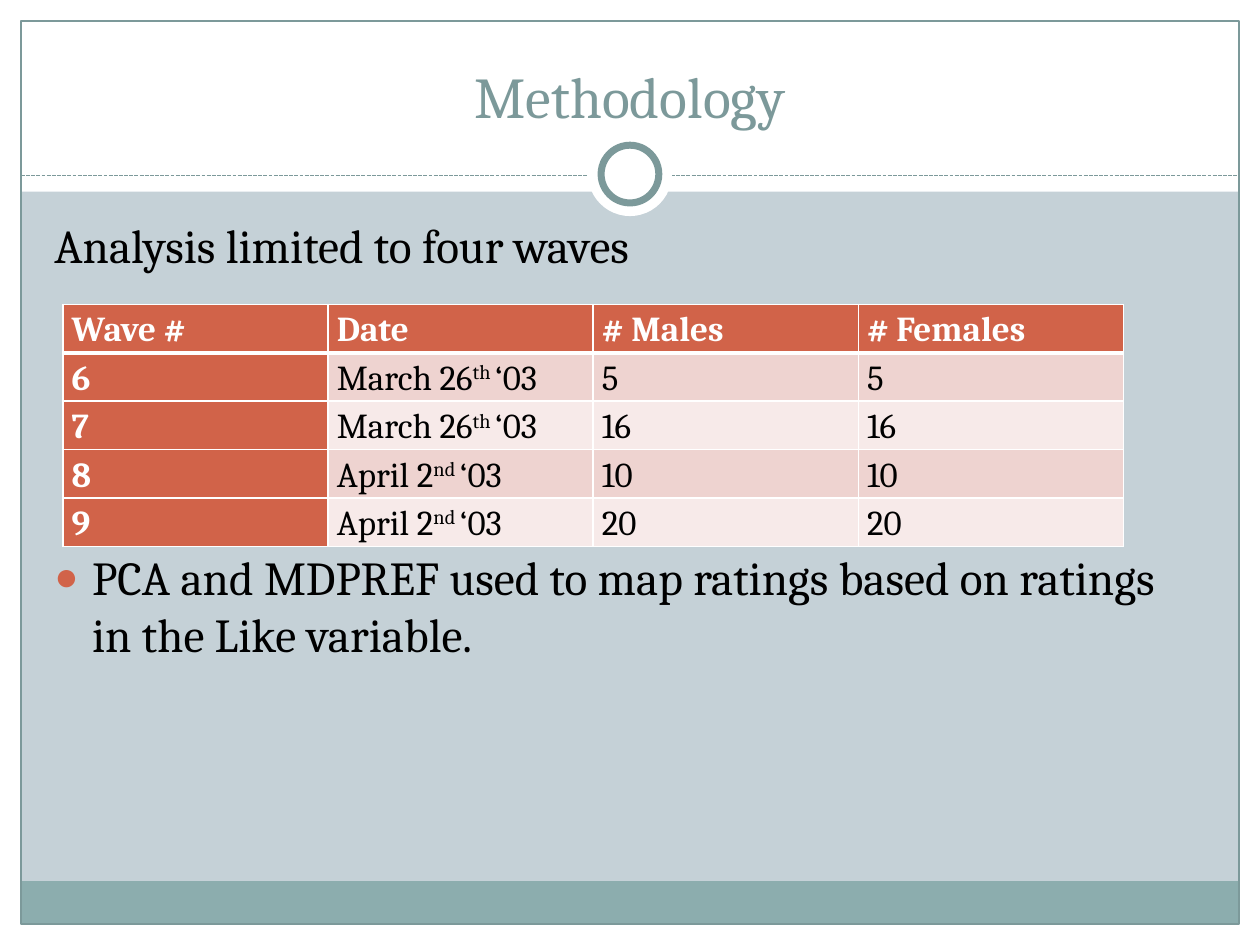
from dataclasses import dataclass
from lxml.etree import SubElement as Sub
from pptx import Presentation as Deck
from pptx.dml.color import RGBColor as Color
from pptx.enum.dml import MSO_LINE as Dash
from pptx.enum.shapes import MSO_CONNECTOR as Link, MSO_SHAPE as Kind
from pptx.enum.text import MSO_ANCHOR as Anchor, PP_ALIGN as Align
from pptx.oxml.ns import qn
from pptx.util import Pt


@dataclass(frozen=True)
class Theme:
    font: str = "Cambria"
    back: str = "C5D1D7"
    white: str = "FFFFFF"
    black: str = "000000"
    slate: str = "7C999A"
    teal: str = "8CADAE"
    rust: str = "D16349"
    bands: tuple = ("EED3D0", "F7EAE9")
    head: int = 33
    body: int = 27
    cell: int = 20


LOOK = Theme()
WIDE, HIGH, EDGE = 720, 540, 12

# A bar marks the start and end of raised text
ROWS = [
    ["Wave #", "Date", "# Males", "# Females"],
    ["6", "March 26|th |‘03", "5", "5"],
    ["7", "March 26|th |‘03", "16", "16"],
    ["8", "April 2|nd |‘03", "10", "10"],
    ["9", "April 2|nd |‘03", "20", "20"],
]


def paint(fill, tone):
    fill.solid()
    fill.fore_color.rgb = Color.from_string(tone)


def add_form(slide, kind, box, fill=None, line=None, width=0.75):
    form = slide.shapes.add_shape(kind, *map(Pt, box))
    form.shadow.inherit = False
    if fill:
        paint(form.fill, fill)
    else:
        form.fill.background()
    if line:
        paint(form.line.fill, line)
        form.line.width = Pt(width)
    else:
        form.line.fill.background()


def add_rule(slide, left, right, y):
    rule = slide.shapes.add_connector(Link.STRAIGHT, Pt(left), Pt(y), Pt(right), Pt(y))
    paint(rule.line.fill, LOOK.slate)
    rule.line.width = Pt(0.75)
    rule.line.dash_style = Dash.SQUARE_DOT
    Sub(rule._element.spPr, qn("a:effectLst"))


def style(para, size, tone, bold=False):
    for run in para.runs:
        font = run.font
        font.name, font.size, font.bold = LOOK.font, Pt(size), bold
        font.color.rgb = Color.from_string(tone)


def add_text(slide, box, text, size, tone, anchor=Anchor.TOP):
    frame = slide.shapes.add_textbox(*map(Pt, box)).text_frame
    frame.word_wrap = True
    frame.vertical_anchor = anchor
    frame.text = text
    para = frame.paragraphs[0]
    style(para, size, tone)
    return para


def add_dot(para, indent):
    props = para._p.get_or_add_pPr()
    props.set("marL", str(Pt(indent)))
    props.set("indent", str(-Pt(indent)))
    Sub(Sub(props, qn("a:buClr")), qn("a:srgbClr"), val=LOOK.rust)
    Sub(props, qn("a:buSzPct"), val="85000")
    Sub(props, qn("a:buFont"), typeface="Arial")
    Sub(props, qn("a:buChar"), char="●")


def add_edge(cell, side, width):
    line = Sub(cell._tc.get_or_add_tcPr(), qn("a:" + side), w=str(Pt(width)))
    Sub(Sub(line, qn("a:solidFill")), qn("a:srgbClr"), val=LOOK.white)


def fill_cell(cell, text, row, col):
    key = row == 0 or col == 0
    cell.margin_left = cell.margin_right = Pt(5)
    cell.margin_top = cell.margin_bottom = 0
    para = cell.text_frame.paragraphs[0]
    para.line_spacing = 1.15
    for spot, part in enumerate(text.split("|")):
        run = para.add_run()
        run.text = part
        if spot == 1:
            run.font._element.set("baseline", "30000")
    style(para, LOOK.cell, LOOK.white if key else LOOK.black, key)
    # White grid, heavy under the header; edges come before the fill
    for side in ("lnL", "lnR", "lnT", "lnB"):
        heavy = (row, side) in ((0, "lnB"), (1, "lnT"))
        add_edge(cell, side, 3 if heavy else 1)
    paint(cell.fill, LOOK.rust if key else LOOK.bands[(row - 1) % 2])


def add_grid(slide, left, top, width, step):
    size = len(ROWS), len(ROWS[0])
    box = left, top, width, step * size[0]
    grid = slide.shapes.add_table(*size, *map(Pt, box)).table
    for r, row in enumerate(ROWS):
        grid.rows[r].height = Pt(step)
        for c, text in enumerate(row):
            fill_cell(grid.cell(r, c), text, r, c)


def add_frame(slide):
    # White margins and header band
    for box in (
        (0, HIGH - EDGE, WIDE, EDGE),
        (0, 0, WIDE, 109.5),
        (0, 0, EDGE, HIGH),
        (WIDE - EDGE, 0, EDGE, HIGH),
    ):
        add_form(slide, Kind.RECTANGLE, box, LOOK.white)
    # Footer band, outline and dashed rule
    inner = WIDE - 2 * EDGE
    add_form(slide, Kind.RECTANGLE, (EDGE, 503.5, inner, 24.5), LOOK.teal)
    add_form(slide, Kind.RECTANGLE, (EDGE, EDGE, inner, HIGH - 2 * EDGE), line=LOOK.slate)
    add_rule(slide, EDGE, WIDE - EDGE, 100.5)
    # Ring on a white disc
    for size, line in ((48, None), (33, LOOK.slate)):
        box = (WIDE - size) / 2, 99.5 - size / 2, size, size
        add_form(slide, Kind.OVAL, box, LOOK.white, line, 4)


def main():
    deck = Deck()
    deck.slide_width, deck.slide_height = Pt(WIDE), Pt(HIGH)
    slide = deck.slides.add_slide(deck.slide_layouts[6])
    paint(slide.background.fill, LOOK.back)
    add_frame(slide)

    # Title
    title = add_text(slide, (24, 18, 672, 60), "Methodology",
                     LOOK.head, LOOK.slate, Anchor.BOTTOM)
    title.alignment = Align.CENTER

    # Body text above and below the table
    lead = add_text(slide, (24, 120, 670, 48), "Analysis limited to four waves",
                    LOOK.body, LOOK.black)
    note = add_text(slide, (24, 309.7, 670, 170),
                    "PCA and MDPREF used to map ratings based on ratings "
                    "in the Like variable.", LOOK.body, LOOK.black)
    for para in (lead, note):
        para.space_before = Pt(5.4)
    add_dot(note, 21.6)

    add_grid(slide, 36, 174, 606, 26.4)
    deck.save("out.pptx")


main()
